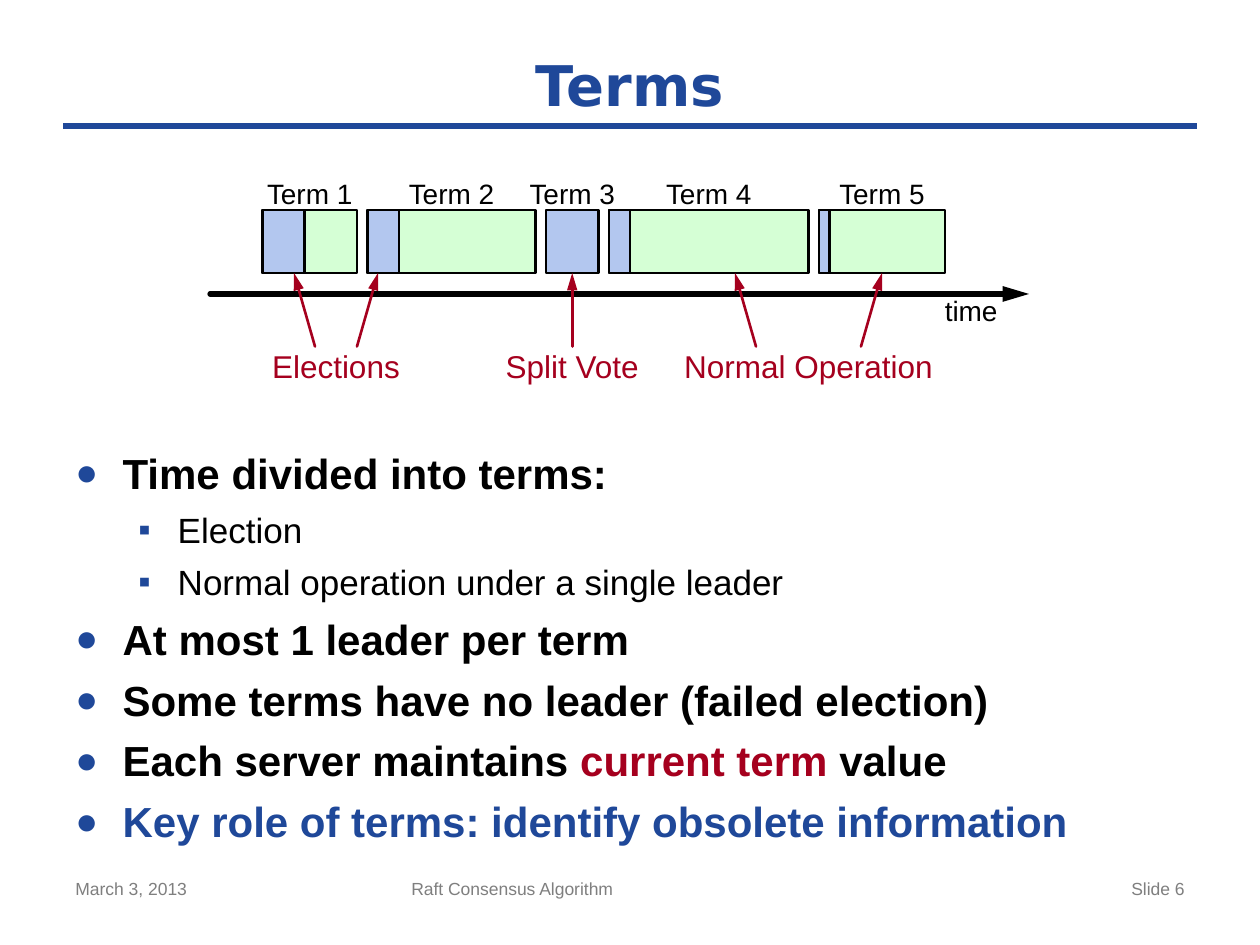
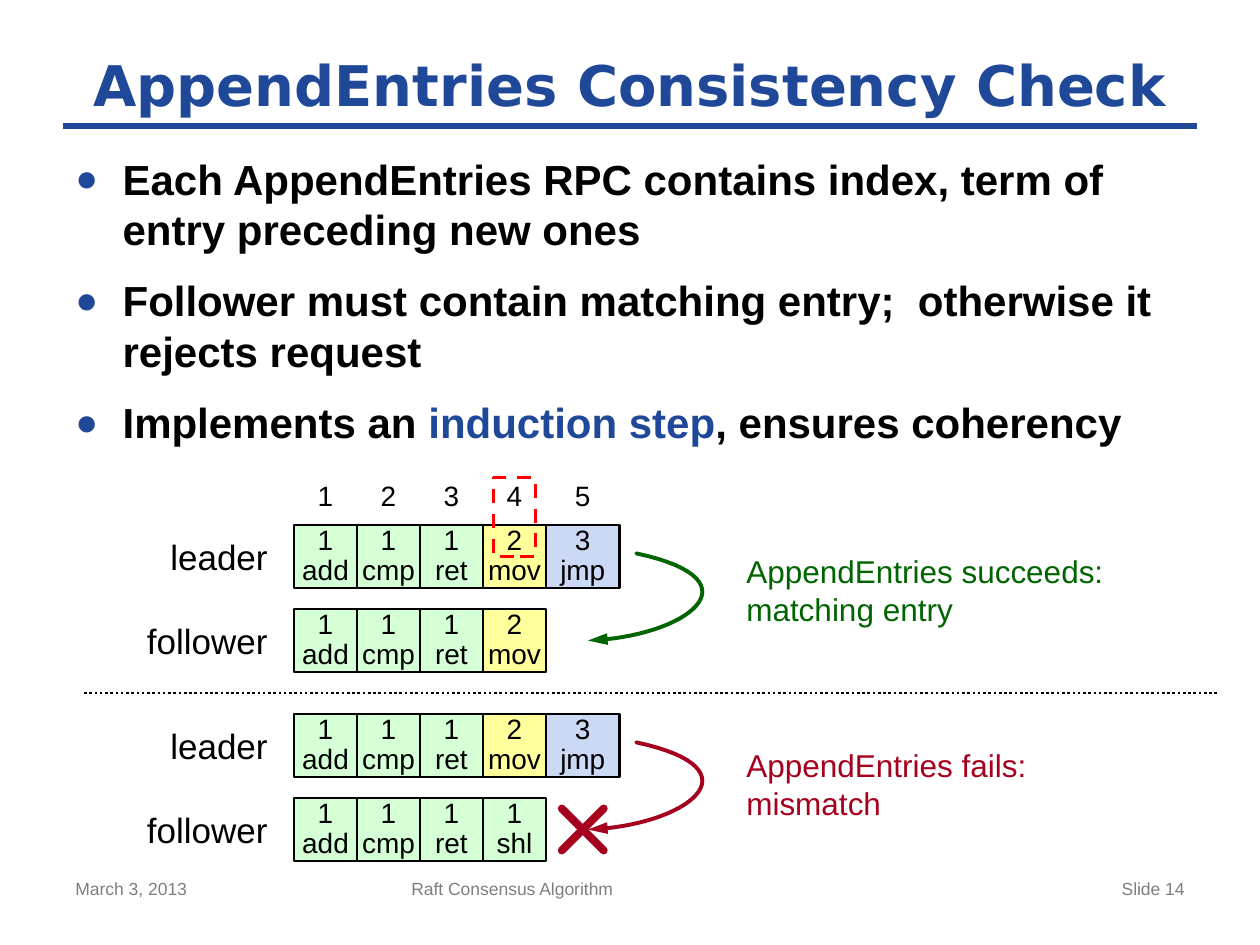
import lxml.etree
import pptx
import pptx.dml.color
import pptx.enum.dml
import pptx.enum.shapes
import pptx.enum.text
import pptx.oxml.ns
import pptx.util

ALIGN = pptx.enum.text.PP_ALIGN
ANCHOR = pptx.enum.text.MSO_ANCHOR
DASH = pptx.enum.dml.MSO_LINE
RECTANGLE = pptx.enum.shapes.MSO_SHAPE.RECTANGLE
STRAIGHT = pptx.enum.shapes.MSO_CONNECTOR.STRAIGHT

BLUE, RED, GREEN, BLACK, GRAY = "1F4899", "A5001E", "006400", "000000", "7F7F7F"
ELECTION_FILL, OPERATION_FILL = "B3C7EF", "D5FFD5"
ENTRY_FILLS = {1: "D5FFD5", 2: "FFFF9B", 3: "CCD9F4"}

# Positions and sizes are counted in grid steps of a twelfth of an inch.
GRID_CM = 2.54 / 12

TITLE_FONT = {"name": "DejaVu Sans", "size": pptx.util.Pt(32), "bold": True}
BULLETS = [
    {"char": "●", "scale": 90, "left": 4.5, "hanging": 4.5, "size": 24, "bold": True},
    {"char": "▪", "scale": 100, "left": 9.75, "hanging": 3.75, "size": 20, "bold": False},
]
FOOTERS = [
    ("March 3, 2013", 6, 28, ALIGN.LEFT),
    ("Raft Consensus Algorithm", 38, 45, ALIGN.LEFT),
    ("Slide {number}", 86, 28, ALIGN.RIGHT),
]

# Level, space before in points, runs of text and colour
TERMS_BULLETS = [
    (0, 12, [("Time divided into terms:", BLACK)]),
    (1, 6, [("Election", BLACK)]),
    (1, 6, [("Normal operation under a single leader", BLACK)]),
    (0, 6, [("At most 1 leader per term", BLACK)]),
    (0, 6, [("Some terms have no leader (failed election)", BLACK)]),
    (0, 6, [("Each server maintains ", BLACK), ("current term ", RED), ("value", BLACK)]),
    (0, 6, [("Key role of terms: identify obsolete information", BLUE)]),
]
CHECK_BULLETS = [
    (0, 12, [("Each AppendEntries RPC contains index, term of entry preceding new ones", BLACK)]),
    (0, 12, [("Follower must contain matching entry;  otherwise it rejects request", BLACK)]),
    (0, 12, [("Implements an ", BLACK), ("induction step", BLUE), (", ensures coherency", BLACK)]),
]

# Width of each term and of the election that opens it
TERMS = [(9, 4), (16, 3), (5, 5), (19, 2), (12, 1)]
TERMS_LEFT, TERMS_TOP, TERM_HEIGHT, TERM_GAP = 25, 20, 6, 1
# Caption, its centre, and pointers: start, end, term whose bottom middle is hit
CAPTIONS = [
    ("Elections", 32, [(30, 28, None), (34, 36, None)]),
    ("Split Vote", 54.5, [(54.5, 54.5, 3)]),
    ("Normal Operation", 77, [(72, 70, None), (82, 84, 5)]),
]
CAPTION_TOP = 33

LEADER_LOG = [(1, "add"), (1, "cmp"), (1, "ret"), (2, "mov"), (3, "jmp")]
LOG_LEFT, ENTRY_WIDTHS, ENTRY_HEIGHT, FOLLOWER_DROP = 28, [6, 6, 6, 6, 7], 6, 8
# Top of the leader's log, follower's log, verdict, its top and colour
CASES = [
    (50, LEADER_LOG[:4], ["AppendEntries succeeds:", "matching entry"], 52, GREEN),
    (68, LEADER_LOG[:3] + [(1, "shl")], ["AppendEntries fails:", "mismatch"], 70.5, RED),
]
# Bezier points, measured down from the top of the leader's log
REPLY_CURVE = [(60.6, 2.7), (72.7, 5.3), (65.2, 10.7), (56, 11)]
CURVE_STEPS = 32


def grid(steps):
    return pptx.util.Cm(steps * GRID_CM)


def rgb(colour):
    return pptx.dml.color.RGBColor.from_string(colour)


def set_attributes(target, values):
    for name, value in values.items():
        setattr(target, name, value)


def add_run(paragraph, text, colour, size, bold=False):
    """Add text to a paragraph; a vertical tab in it breaks the line."""
    for index, part in enumerate(text.split("\v")):
        if index:
            paragraph.add_line_break()
        run = paragraph.add_run()
        run.text = part
        set_attributes(run.font, {"name": "Arial", "size": pptx.util.Pt(size), "bold": bold})
        run.font.color.rgb = rgb(colour)


def format_frame(frame, inset=True, wrap=True, anchor=ANCHOR.TOP):
    set_attributes(frame, {"word_wrap": wrap, "vertical_anchor": anchor})
    if not inset:
        set_attributes(frame, dict.fromkeys(
            ["margin_left", "margin_top", "margin_right", "margin_bottom"], 0))


def add_text(slide, lines, left, top, width, height, size,
             colour=BLACK, align=ALIGN.CENTER, **frame_format):
    box = slide.shapes.add_textbox(*map(grid, (left, top, width, height)))
    format_frame(box.text_frame, **frame_format)
    for index, line in enumerate(lines):
        paragraph = box.text_frame.add_paragraph() if index else box.text_frame.paragraphs[0]
        paragraph.alignment = align
        add_run(paragraph, line, colour, size)


def add_label(slide, text, centre, top, size, colour=BLACK):
    """Add a one-line label centred on a grid column."""
    add_text(slide, [text], centre - 12, top, 24, 4, size, colour, inset=False, wrap=False)


def add_rectangle(slide, left, top, width, height, fill=None,
                  line=BLACK, weight=1.5, dash=None):
    shape = slide.shapes.add_shape(RECTANGLE, *map(grid, (left, top, width, height)))
    shape.shadow.inherit = False
    if fill:
        shape.fill.solid()
        shape.fill.fore_color.rgb = rgb(fill)
    else:
        shape.fill.background()
    format_line(shape, line, weight, dash)
    return shape


def format_line(shape, colour, weight, dash=None, rounded=False, arrow=False):
    shape.line.color.rgb = rgb(colour)
    shape.line.width = pptx.util.Pt(weight)
    if dash:
        shape.line.dash_style = dash
    line = shape.line.color and shape._element.spPr.find(pptx.oxml.ns.qn("a:ln"))
    if rounded:
        line.set("cap", "rnd")
    if arrow:
        lxml.etree.SubElement(line, pptx.oxml.ns.qn("a:tailEnd"),
                              type="triangle", w="med", len="lg")


def add_line(slide, start, end, colour, weight, **line_format):
    connector = slide.shapes.add_connector(STRAIGHT, *map(grid, (*start, *end)))
    format_line(connector, colour, weight, **line_format)
    lxml.etree.SubElement(connector._element.spPr, pptx.oxml.ns.qn("a:effectLst"))
    return connector


def add_curve(slide, points, colour):
    """Draw an arrow along the cubic Bezier curve of four points."""
    samples = []
    for step in range(CURVE_STEPS + 1):
        t = step / CURVE_STEPS
        weights = [(1 - t) ** 3, 3 * t * (1 - t) ** 2, 3 * t ** 2 * (1 - t), t ** 3]
        samples.append([grid(sum(weight * point[axis] for weight, point in zip(weights, points)))
                        for axis in (0, 1)])
    builder = slide.shapes.build_freeform(*samples[0])
    builder.add_line_segments(samples[1:], close=False)
    curve = builder.convert_to_shape()
    curve.shadow.inherit = False
    curve.fill.background()
    format_line(curve, colour, 2.25, rounded=True, arrow=True)


def add_bullets(slide, items, top, height):
    frame = slide.shapes.add_textbox(*map(grid, (6, top, 108, height))).text_frame
    format_frame(frame)
    for index, (level, space, runs) in enumerate(items):
        paragraph = frame.add_paragraph() if index else frame.paragraphs[0]
        style = BULLETS[level]
        set_attributes(paragraph, {"level": level, "space_before": pptx.util.Pt(space)})
        for text, colour in runs:
            add_run(paragraph, text, colour, style["size"], style["bold"])
        properties = paragraph._p.get_or_add_pPr()
        properties.set("marL", str(grid(style["left"])))
        properties.set("indent", str(-grid(style["hanging"])))
        bullet_colour = lxml.etree.SubElement(properties, pptx.oxml.ns.qn("a:buClr"))
        lxml.etree.SubElement(bullet_colour, pptx.oxml.ns.qn("a:srgbClr"), val=BLUE)
        for tag, attributes in [("a:buSzPct", {"val": str(style["scale"] * 1000)}),
                                ("a:buFont", {"typeface": "Arial"}),
                                ("a:buChar", {"char": style["char"]})]:
            lxml.etree.SubElement(properties, pptx.oxml.ns.qn(tag), attributes)


def add_titled_slide(presentation, title, number):
    slide = presentation.slides.add_slide(presentation.slide_layouts[5])
    placeholder = slide.shapes.title
    set_attributes(placeholder, {"left": grid(6), "top": grid(4),
                                 "width": grid(108), "height": grid(8)})
    frame = placeholder.text_frame
    frame.text = title
    format_frame(frame, anchor=ANCHOR.MIDDLE)
    frame.auto_size = pptx.enum.text.MSO_AUTO_SIZE.NONE
    frame.paragraphs[0].alignment = ALIGN.CENTER
    font = frame.paragraphs[0].runs[0].font
    set_attributes(font, TITLE_FONT)
    font.color.rgb = rgb(BLUE)
    add_line(slide, (6, 12), (114, 12), BLUE, 4)
    for text, left, width, align in FOOTERS:
        add_text(slide, [text.format(number=number)], left, 83, width, 5, 10, GRAY, align)
    return slide


def add_terms_slide(presentation):
    slide = add_titled_slide(presentation, "Terms", 6)
    add_bullets(slide, TERMS_BULLETS, 42, 38.4)
    add_line(slide, (20, 28), (98, 28), BLACK, 3, rounded=True, arrow=True)
    add_label(slide, "time", 92.5, 28, 16)

    term_boxes = {}
    left = TERMS_LEFT
    for number, (width, election) in enumerate(TERMS, start=1):
        fill = OPERATION_FILL if election < width else ELECTION_FILL
        term_boxes[number] = add_rectangle(slide, left, TERMS_TOP, width, TERM_HEIGHT, fill)
        if election < width:
            add_rectangle(slide, left, TERMS_TOP, election, TERM_HEIGHT, ELECTION_FILL)
        add_label(slide, f"Term {number}", left + width / 2, TERMS_TOP - 3.2, 16)
        left += width + TERM_GAP

    for caption, centre, pointers in CAPTIONS:
        add_label(slide, caption, centre, CAPTION_TOP, 18, RED)
        for start, end, term in pointers:
            pointer = add_line(slide, (start, CAPTION_TOP), (end, TERMS_TOP + TERM_HEIGHT),
                               RED, 1.5, rounded=True, arrow=True)
            if term:
                pointer.end_connect(term_boxes[term], 2)


def add_log(slide, name, entries, top):
    add_text(slide, [name], 10, top + 1, 15.5, 4, 20, align=ALIGN.RIGHT, inset=False, wrap=False)
    for index, (term, command) in enumerate(entries):
        left = LOG_LEFT + sum(ENTRY_WIDTHS[:index])
        cell = add_rectangle(slide, left, top, ENTRY_WIDTHS[index], ENTRY_HEIGHT,
                             ENTRY_FILLS[term])
        format_frame(cell.text_frame, inset=False, anchor=ANCHOR.MIDDLE)
        paragraph = cell.text_frame.paragraphs[0]
        set_attributes(paragraph, {"alignment": ALIGN.CENTER, "line_spacing": pptx.util.Pt(17)})
        add_run(paragraph, f"{term}\v{command}", BLACK, 16)


def add_check_slide(presentation):
    slide = add_titled_slide(presentation, "AppendEntries Consistency Check", 14)
    add_bullets(slide, CHECK_BULLETS, 14, 32)
    for index, width in enumerate(ENTRY_WIDTHS):
        left = LOG_LEFT + sum(ENTRY_WIDTHS[:index])
        add_text(slide, [str(index + 1)], left, 45, width, 4.4, 16)

    for top, follower_log, verdict, verdict_top, colour in CASES:
        add_log(slide, "leader", LEADER_LOG, top)
        add_log(slide, "follower", follower_log, top + FOLLOWER_DROP)
        add_curve(slide, [(x, top + y) for x, y in REPLY_CURVE], colour)
        add_text(slide, verdict, 69.9, verdict_top, 37, 8.5, 18, colour, ALIGN.LEFT, wrap=False)

    for start_y, end_y in [(77, 81), (81, 77)]:
        add_line(slide, (53.5, start_y), (57.5, end_y), RED, 4.5, rounded=True)
    add_rectangle(slide, 47, 45.5, 4, 7.5, line="FF0000", weight=2, dash=DASH.DASH)
    add_line(slide, (8, 66), (116, 66), BLACK, 1.5, dash=DASH.ROUND_DOT)


def main():
    presentation = pptx.Presentation()
    presentation.slide_width = pptx.util.Cm(25.4)
    presentation.slide_height = pptx.util.Cm(19.05)
    add_terms_slide(presentation)
    add_check_slide(presentation)
    presentation.save("out.pptx")


if __name__ == "__main__":
    main()
